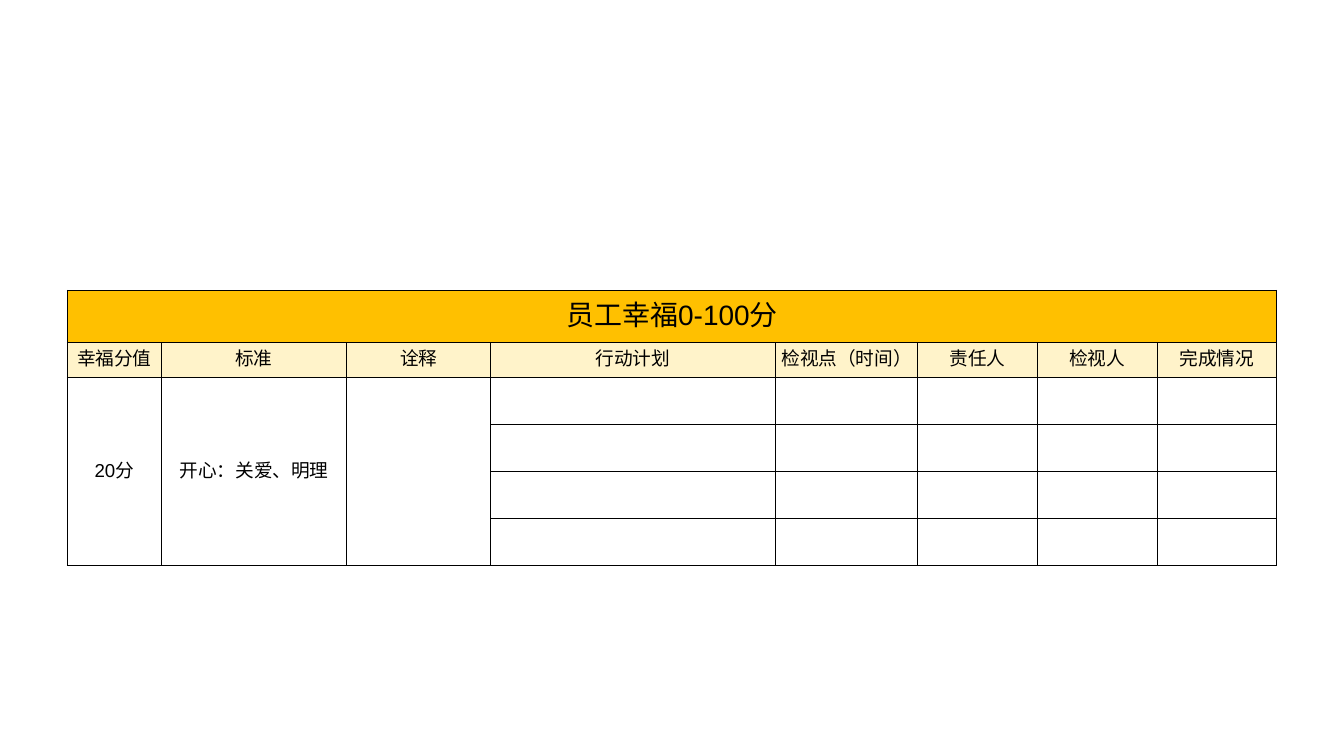
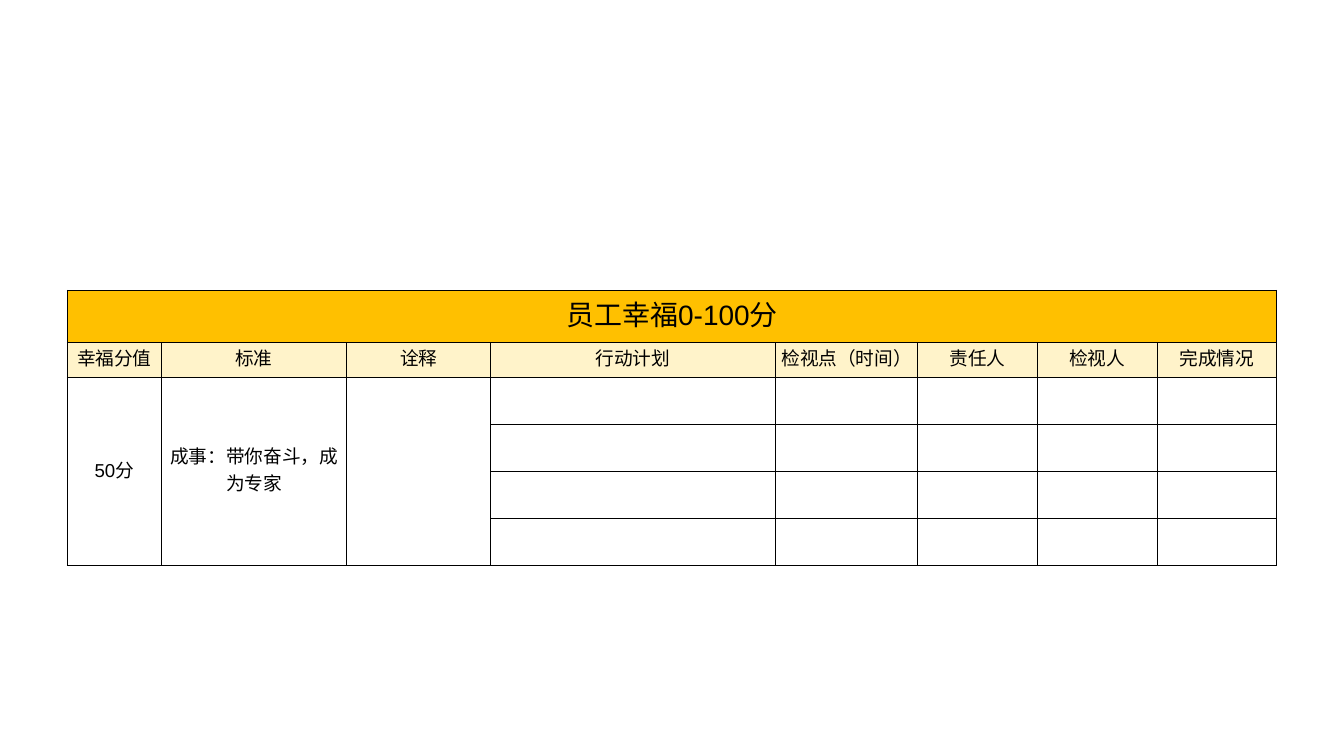
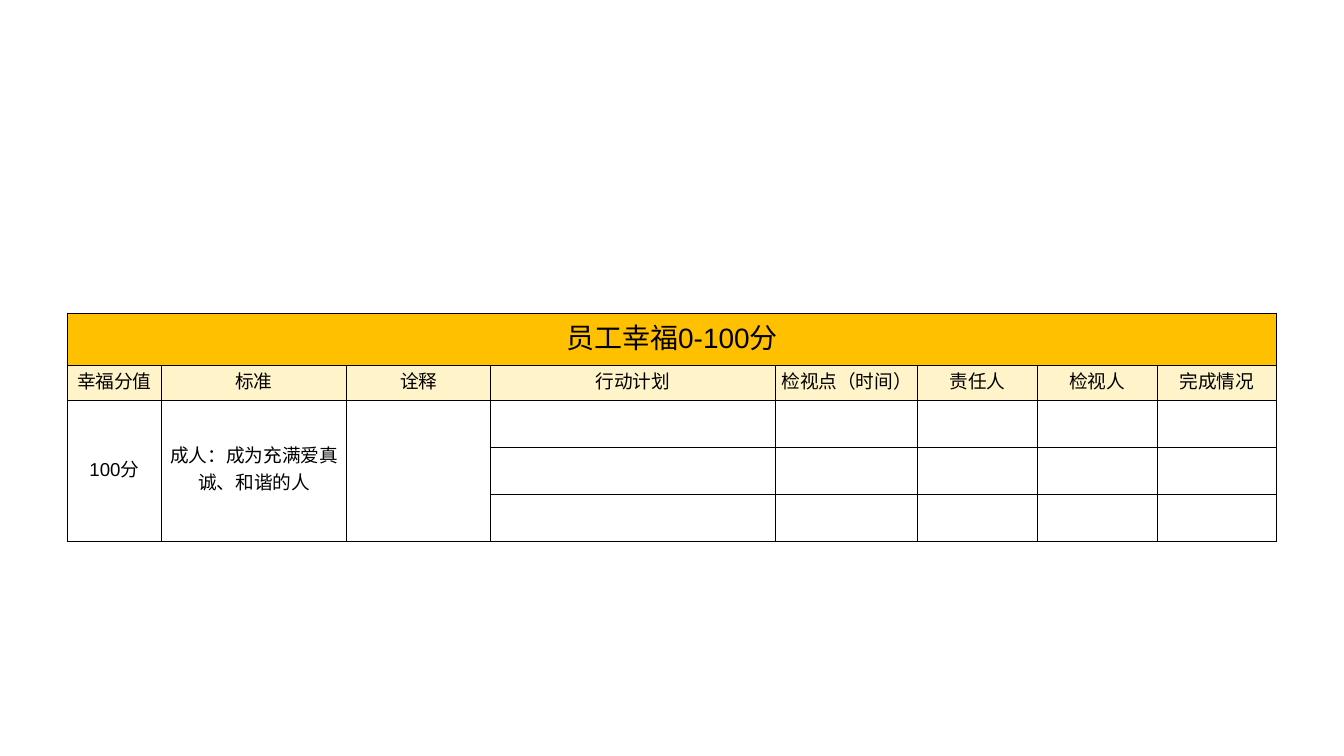
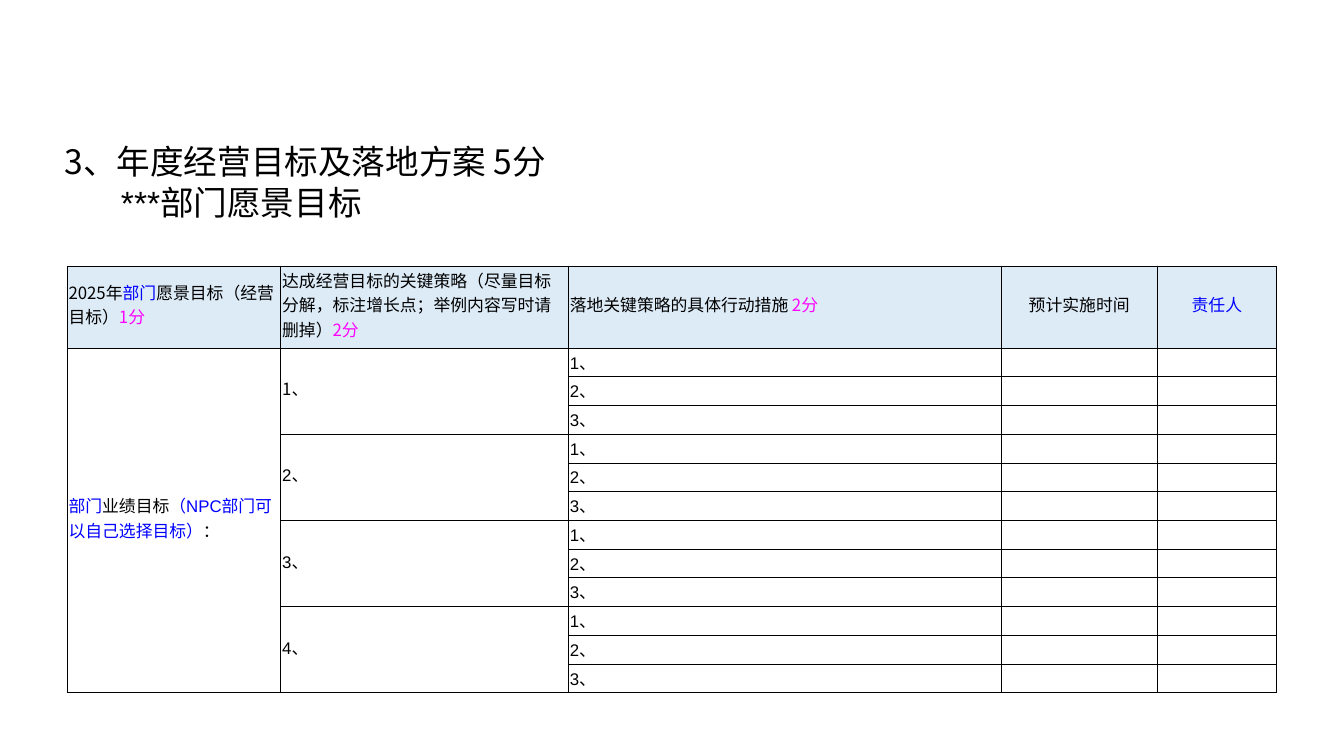
from dataclasses import dataclass
from typing import Any, NamedTuple, Optional

import lxml.etree
import pptx
import pptx.dml.color
import pptx.enum.text
import pptx.oxml.ns
import pptx.util

Inches = pptx.util.Inches
Pt = pptx.util.Pt
RGB = pptx.dml.color.RGBColor.from_string
qn = pptx.oxml.ns.qn
ALIGN = pptx.enum.text.PP_ALIGN
MIDDLE = pptx.enum.text.MSO_ANCHOR.MIDDLE


# Colours, fonts and type sizes
@dataclass(frozen=True)
class Theme:
    ink: str = "000000"
    blue: str = "0000FF"
    pink: str = "FC02FF"
    white: str = "FFFFFF"
    gold: str = "FFC000"
    cream: str = "FFF3CA"
    sky: str = "DDEBF7"
    latin: str = "Arial"
    chinese: str = "Noto Sans CJK SC"
    title: int = 18
    banner: int = 15
    body: int = 10
    plan: int = 9
    border: float = 0.5


THEME = Theme()


class Piece(NamedTuple):
    text: str
    color: str = THEME.ink


class CellStyle(NamedTuple):
    fill: str
    size: int
    font: str = THEME.latin
    align: Any = ALIGN.CENTER
    bottom: float = 0.05
    right: float = 0.01


class Happiness(NamedTuple):
    score: str
    standard: str
    top: float
    actions: int


BANNER = CellStyle(THEME.gold, THEME.banner)
HEADING = CellStyle(THEME.cream, THEME.body)
BODY = CellStyle(THEME.white, THEME.body)
PLAN_HEAD = CellStyle(THEME.sky, THEME.plan, THEME.chinese, ALIGN.LEFT, right=0.03)
PLAN_HEAD_MID = CellStyle(THEME.sky, THEME.plan)
PLAN_BODY = CellStyle(THEME.white, THEME.plan, align=ALIGN.LEFT, bottom=0.02)
PLAN_GOAL = PLAN_BODY._replace(bottom=0.05)


# Content
HAPPINESS_TITLE = "员工幸福0-100分"
HAPPINESS_COLUMNS = {"幸福分值": 0.7, "标准": 1.38, "诠释": 1.07, "行动计划": 2.12,
                     "检视点（时间）": 1.06, "责任人": 0.89, "检视人": 0.89, "完成情况": 0.89}
HAPPINESS_LEVELS = [
    Happiness("20分", "开心：关爱、明理", 2.16, 4),
    Happiness("50分", "成事：带你奋斗，成为专家", 2.16, 4),
    Happiness("100分", "成人：成为充满爱真诚、和谐的人", 2.33, 3),
]
PLAN_WIDTHS = [1.59, 2.14, 3.22, 1.16, 0.89]
PLAN_HEADINGS = [
    ([Piece("2025年"), Piece("部门", THEME.blue), Piece("愿景目标（经营目标）"),
      Piece("1分", THEME.pink)], PLAN_HEAD),
    ([Piece("达成经营目标的关键策略（尽量目标分解，标注增长点；举例内容写时请删掉）"),
      Piece("2分", THEME.pink)], PLAN_HEAD),
    ([Piece("落地关键策略的具体行动措施 "), Piece("2分", THEME.pink)], PLAN_HEAD),
    ([Piece("预计实施时间")], PLAN_HEAD_MID),
    ([Piece("责任人", THEME.blue)], PLAN_HEAD_MID),
]
PLAN_TARGET = [Piece("部门", THEME.blue), Piece("业绩目标"),
               Piece("（NPC部门可以自己选择目标）", THEME.blue), Piece("：")]
STRATEGIES, MEASURES = 4, 3


# Shared drawing
def set_all(target: Any, values: dict[str, Any]) -> None:
    for name, value in values.items():
        setattr(target, name, value)


def add_run(paragraph: Any, piece: Piece, size: int, font: str) -> None:
    run = paragraph.add_run()
    run.text = piece.text
    set_all(run.font, {"size": Pt(size), "name": font, "bold": False})
    run.font.color.rgb = RGB(piece.color)
    lxml.etree.SubElement(run.font._element, qn("a:ea"), typeface=THEME.chinese)


def add_borders(cell: Any) -> None:
    properties = cell._tc.get_or_add_tcPr()
    for side in ("lnL", "lnR", "lnT", "lnB"):
        line = lxml.etree.SubElement(properties, qn(f"a:{side}"), w=str(Pt(THEME.border)))
        paint = lxml.etree.SubElement(line, qn("a:solidFill"))
        lxml.etree.SubElement(paint, qn("a:srgbClr"), val=THEME.ink)


def fill_cell(cell: Any, style: CellStyle, pieces: Optional[list[Piece]] = None) -> None:
    set_all(cell, {"margin_left": Inches(0.01), "margin_top": Inches(0.01),
                   "margin_right": Inches(style.right), "margin_bottom": Inches(style.bottom),
                   "vertical_anchor": MIDDLE})
    cell.fill.solid()
    cell.fill.fore_color.rgb = RGB(style.fill)
    paragraph = cell.text_frame.paragraphs[0]
    paragraph.alignment = style.align
    for piece in pieces or []:
        add_run(paragraph, piece, style.size, style.font)
    if not pieces:
        lxml.etree.SubElement(paragraph._p, qn("a:endParaRPr"), sz=str(style.size * 100))


def add_grid(slide: Any, top: float, widths: list[float], heights: list[float]) -> Any:
    grid = slide.shapes.add_table(len(heights), len(widths), Inches(0.5), Inches(top),
                                  Inches(sum(widths)), Inches(sum(heights))).table
    set_all(grid, {"first_row": False, "horz_banding": False})
    for column, width in zip(grid.columns, widths):
        column.width = Inches(width)
    for row, height in zip(grid.rows, heights):
        row.height = Inches(height)
    for cell in grid.iter_cells():
        add_borders(cell)
    return grid


# Slides 1 to 3: happiness levels
def add_happiness(deck: Any, level: Happiness) -> None:
    slide = deck.slides.add_slide(deck.slide_layouts[6])
    grid = add_grid(slide, level.top, list(HAPPINESS_COLUMNS.values()),
                    [0.39, 0.26] + [0.35] * level.actions)
    last_row, last_column = level.actions + 1, len(HAPPINESS_COLUMNS) - 1
    grid.cell(0, 0).merge(grid.cell(0, last_column))
    for column in range(3):
        grid.cell(2, column).merge(grid.cell(last_row, column))

    texts = {(0, 0): HAPPINESS_TITLE, (2, 0): level.score, (2, 1): level.standard}
    texts.update({(1, i): heading for i, heading in enumerate(HAPPINESS_COLUMNS)})
    for row in range(last_row + 1):
        style = {0: BANNER, 1: HEADING}.get(row, BODY)
        for column in range(last_column + 1):
            text = texts.get((row, column))
            fill_cell(grid.cell(row, column), style, [Piece(text)] if text else None)


# Slide 4: yearly targets
def add_plan_title(slide: Any) -> None:
    title = slide.shapes.title
    set_all(title, {"left": Inches(0.43), "top": Inches(1), "width": Inches(7.97),
                    "height": Inches(0.7)})
    frame = title.text_frame
    margins = {f"margin_{side}": Inches(0.05) for side in ("left", "top", "right", "bottom")}
    set_all(frame, {"word_wrap": True, "vertical_anchor": MIDDLE,
                    "auto_size": pptx.enum.text.MSO_AUTO_SIZE.NONE, **margins})
    heading, department = frame.paragraphs[0], frame.add_paragraph()
    for paragraph in (heading, department):
        set_all(paragraph, {"alignment": ALIGN.LEFT, "line_spacing": 1.0})
    department._p.get_or_add_pPr().set("marL", str(Inches(0.42)))
    add_run(heading, Piece("3、年度经营目标及落地方案 5分"), THEME.title, THEME.chinese)
    add_run(department, Piece("***部门愿景目标"), THEME.title, THEME.latin)


def add_plan(deck: Any) -> None:
    slide = deck.slides.add_slide(deck.slide_layouts[5])
    add_plan_title(slide)
    count = STRATEGIES * MEASURES
    grid = add_grid(slide, 1.98, PLAN_WIDTHS, [0.61] + [2.57 / count] * count)
    grid.cell(1, 0).merge(grid.cell(count, 0))
    for column, (pieces, style) in enumerate(PLAN_HEADINGS):
        fill_cell(grid.cell(0, column), style, pieces)

    for index in range(count):
        row = index + 1
        strategy, measure = divmod(index, MEASURES)
        starts_group = measure == 0
        if starts_group:
            grid.cell(row, 1).merge(grid.cell(row + MEASURES - 1, 1))
        fill_cell(grid.cell(row, 0), PLAN_GOAL, PLAN_TARGET if index == 0 else None)
        strategy_style = PLAN_GOAL._replace(font=THEME.chinese) if index == 0 else PLAN_GOAL
        fill_cell(grid.cell(row, 1), strategy_style,
                  [Piece(f"{strategy + 1}、")] if starts_group else None)
        fill_cell(grid.cell(row, 2), PLAN_BODY, [Piece(f"{measure + 1}、")])
        for column in (3, 4):
            fill_cell(grid.cell(row, column), PLAN_BODY)


def main() -> None:
    deck = pptx.Presentation()
    # Widescreen, 16 to 9
    width = Inches(10)
    set_all(deck, {"slide_width": width, "slide_height": width * 9 // 16})
    for level in HAPPINESS_LEVELS:
        add_happiness(deck, level)
    add_plan(deck)
    deck.save("out.pptx")


if __name__ == "__main__":
    main()
